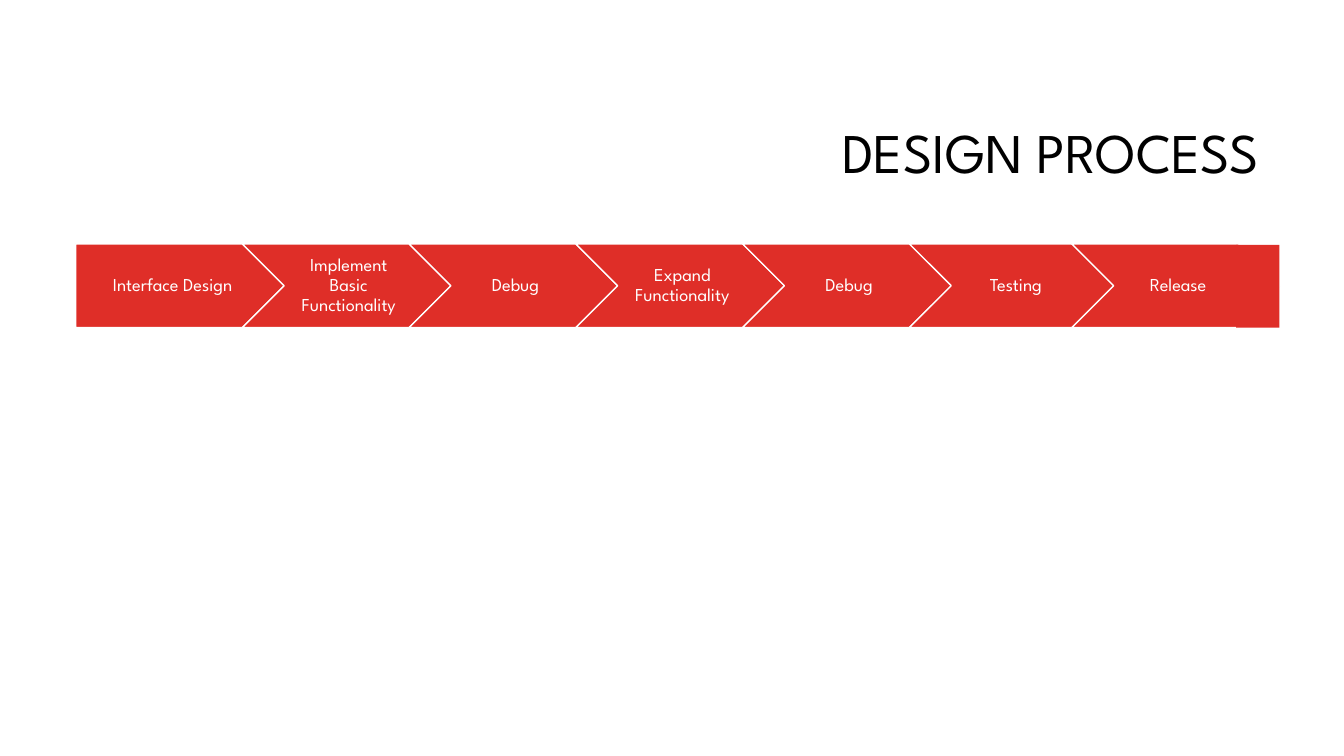
from pptx import Presentation
from pptx.dml.color import RGBColor
from pptx.enum.shapes import MSO_SHAPE as Shape
from pptx.enum.text import MSO_ANCHOR as Anchor, MSO_AUTO_SIZE as AutoSize, PP_ALIGN as Align
from pptx.util import Inches, Pt

COLORS = {name: RGBColor.from_string(value) for name, value in {
    "red": "DF2E28", "white": "FFFFFF", "black": "000000"}.items()}
FONT = "League Spartan"
STEPS = ["Interface Design", "Implement Basic Functionality", "Debug",
         "Expand Functionality", "Debug", "Testing", "Release"]

# Process row: equal steps, each overlapping the previous one by its point
LEFT, TOP, WIDTH, HEIGHT = 0.75, 2.42, 2.07, 0.83
PITCH = 1.654
LAST_LEFT = 10.63


def write(frame, text, size, color, align):
    frame.word_wrap = True
    frame.auto_size = AutoSize.NONE
    frame.vertical_anchor = Anchor.MIDDLE
    para = frame.paragraphs[0]
    para.alignment = align
    para.line_spacing = 0.9
    span = para.add_run()
    span.text = text
    span.font.name = FONT
    span.font.size = Pt(size)
    span.font.color.rgb = COLORS[color]


def add_red_shape(page, kind, left, top, width, height):
    shape = page.shapes.add_shape(
        kind, Inches(left), Inches(top), Inches(width), Inches(height))
    shape.shadow.inherit = False
    shape.fill.solid()
    shape.fill.fore_color.rgb = COLORS["red"]
    return shape


deck = Presentation()
deck.slide_width, deck.slide_height = Inches(13.33), Inches(7.5)
page = deck.slides.add_slide(deck.slide_layouts[5])
page.background.fill.solid()
page.background.fill.fore_color.rgb = COLORS["white"]

# Title
title = page.shapes.title
title.left, title.top = Inches(3.17), Inches(0.84)
title.width, title.height = Inches(9.42), Inches(1.41)
write(title.text_frame, "DESIGN PROCESS", 40, "black", Align.RIGHT)

# Process steps
for index, label in enumerate(STEPS):
    first, last = index == 0, index == len(STEPS) - 1
    left = LAST_LEFT if last else LEFT + index * PITCH
    step = add_red_shape(page, Shape.PENTAGON if first else Shape.CHEVRON,
                         left, TOP, WIDTH, HEIGHT)
    step.line.color.rgb = COLORS["white"]
    step.line.width = Pt(1)
    frame = step.text_frame
    frame.margin_left = Inches(0.08 if first else 0.06)
    frame.margin_right = Inches(0.02)
    frame.margin_top = frame.margin_bottom = Inches(0.04)
    write(frame, label, 13, "white", Align.CENTER)

# Square end of the row
row_end = add_red_shape(page, Shape.RECTANGLE, 12.26, 2.43, 0.43, 0.82)
row_end.line.fill.background()

deck.save("out.pptx")
